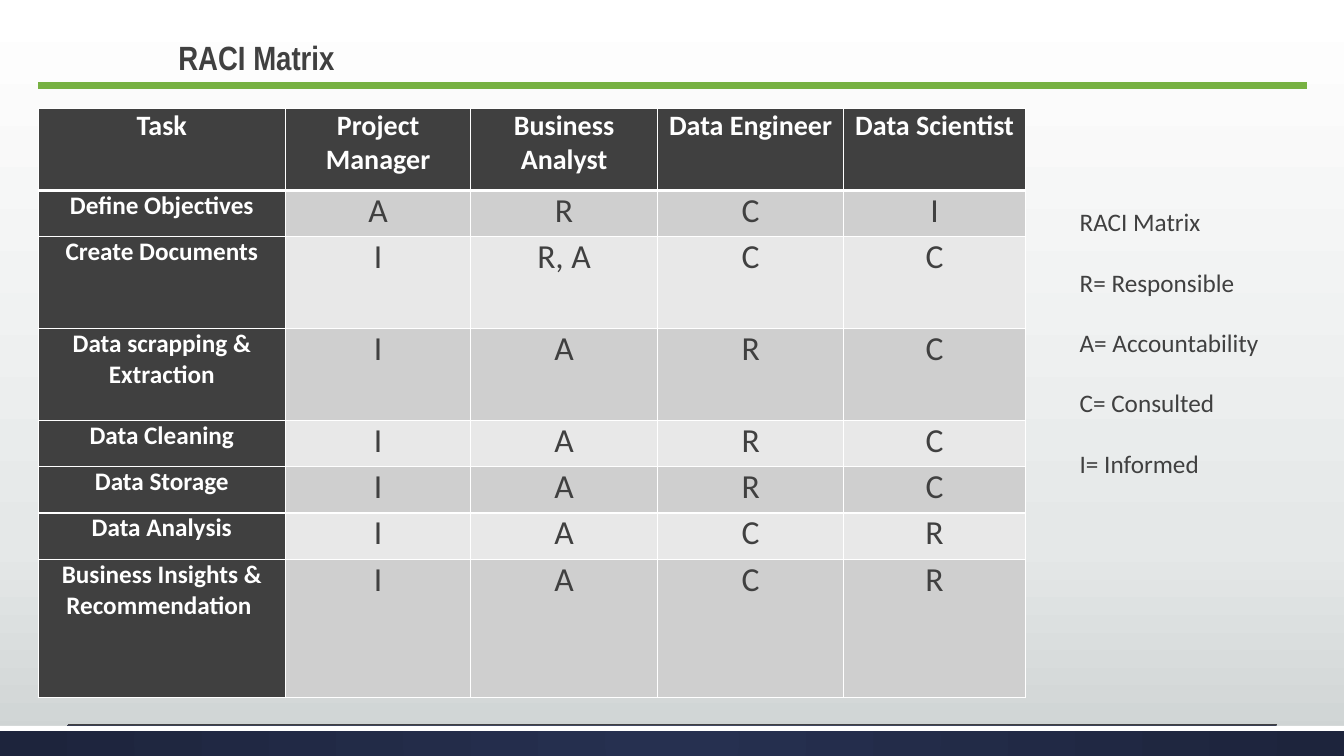
import dataclasses

import lxml.etree
import pptx
import pptx.dml.color
import pptx.enum.shapes
import pptx.enum.text
import pptx.oxml.ns
import pptx.util

Inches = pptx.util.Inches
Pt = pptx.util.Pt
qn = pptx.oxml.ns.qn
CENTER = pptx.enum.text.PP_ALIGN.CENTER


@dataclasses.dataclass(frozen=True)
class Theme:
    dark: str = "404040"
    white: str = "FFFFFF"
    green: str = "77B142"
    bands: tuple = ("CFCFCF", "E8E8E8")
    background: tuple = ((0, "FFFFFF"), (72, "E5E8E8"), (100, "CDD2D2"))
    footer: tuple = ((0, "263050"), (100, "1D243C"))
    title_font: str = "Arial Narrow"
    body_font: str = "Calibri"
    title_size: int = 24
    header_size: int = 20
    body_size: int = 18
    mark_size: int = 24


THEME = Theme()
COLUMN_WIDTHS = (2.45, 1.84, 1.85, 1.85, 1.8)
ROW_HEIGHTS = (0.81, 0.46, 0.91, 0.91, 0.46, 0.46, 0.46, 1.37)
MATRIX = (
    ("Task", "Project Manager", "Business Analyst", "Data Engineer", "Data Scientist"),
    ("Define Objectives", "A", "R", "C", "I"),
    ("Create Documents", "I", "R, A", "C", "C"),
    ("Data scrapping & Extraction", "I", "A", "R", "C"),
    ("Data Cleaning", "I", "A", "R", "C"),
    ("Data Storage", "I", "A", "R", "C"),
    ("Data Analysis", "I", "A", "C", "R"),
    ("Business Insights & Recommendation ", "I", "A", "C", "R"),
)
LEGEND = ("RACI Matrix", "R= Responsible", "A= Accountability", "C= Consulted", "I= Informed")


def rgb(color):
    return pptx.dml.color.RGBColor.from_string(color)


def write_text(paragraph, text, size=THEME.body_size, color=THEME.dark,
               font=THEME.body_font, bold=False, align=None):
    run = paragraph.add_run()
    run.text = text
    run.font.size = Pt(size)
    run.font.name = font
    run.font.bold = bold
    run.font.color.rgb = rgb(color)
    paragraph.alignment = align


def set_gradient(fill, parent, stops, radial=False):
    """Give the fill inside parent its stops, downwards or from the centre."""
    fill.gradient()
    gradient = next(parent.iter(qn("a:gradFill")))
    for child in list(gradient):
        gradient.remove(child)
    stop_list = lxml.etree.SubElement(gradient, qn("a:gsLst"))
    for position, color in stops:
        stop = lxml.etree.SubElement(stop_list, qn("a:gs"), pos=str(position * 1000))
        lxml.etree.SubElement(stop, qn("a:srgbClr"), val=color)
    if radial:
        route = lxml.etree.SubElement(gradient, qn("a:path"), path="circle")
        lxml.etree.SubElement(route, qn("a:fillToRect"),
                              {side: "50000" for side in "ltrb"})
    else:
        lxml.etree.SubElement(gradient, qn("a:lin"), ang="5400000", scaled="0")


def add_band(slide, height):
    """Add a full-width strip along the top of the footer."""
    band = slide.shapes.add_shape(pptx.enum.shapes.MSO_SHAPE.RECTANGLE,
                                  0, Inches(7.2), Inches(13.33), Inches(height))
    band.shadow.inherit = False
    band.line.fill.background()
    return band


def add_rule(slide, left, right, top, color, width):
    rule = slide.shapes.add_connector(pptx.enum.shapes.MSO_CONNECTOR.STRAIGHT,
                                      Inches(left), Inches(top), Inches(right), Inches(top))
    rule.line.color.rgb = rgb(color)
    rule.line.width = Pt(width)
    lxml.etree.SubElement(rule.element.spPr, qn("a:effectLst"))


def add_text_frame(slide, left, top, width, height):
    box = slide.shapes.add_textbox(Inches(left), Inches(top), Inches(width), Inches(height))
    box.text_frame.word_wrap = True
    return box.text_frame


def add_title(slide):
    paragraph = add_text_frame(slide, 1.17, 0.12, 3.02, 0.63).paragraphs[0]
    paragraph.line_spacing = 1.5
    paragraph.space_after = Pt(8)
    properties = paragraph._p.get_or_add_pPr()
    properties.set("marL", str(Inches(0.5)))
    properties.set("indent", "0")
    write_text(paragraph, "RACI Matrix", size=THEME.title_size,
               font=THEME.title_font, bold=True)


def add_legend(slide):
    frame = add_text_frame(slide, 10.61, 2, 2.08, 2.83)
    for index, entry in enumerate(LEGEND):
        paragraph = frame.add_paragraph() if index else frame.paragraphs[0]
        paragraph.space_after = Pt(21.5)
        write_text(paragraph, entry)


def set_borders(cell, top=1, bottom=1):
    properties = cell._tc.get_or_add_tcPr()
    for side, width in (("L", 1), ("R", 1), ("T", top), ("B", bottom)):
        line = lxml.etree.SubElement(properties, qn("a:ln" + side), w=str(Pt(width)))
        fill = lxml.etree.SubElement(line, qn("a:solidFill"))
        lxml.etree.SubElement(fill, qn("a:srgbClr"), val=THEME.white)


def fill_cell(cell, text, row, column):
    cell.margin_left = cell.margin_right = Inches(0.07)
    cell.margin_top = cell.margin_bottom = 0
    set_borders(cell, top=3 if row == 1 else 1, bottom=3 if row == 0 else 1)
    heading = row == 0 or column == 0
    cell.fill.solid()
    cell.fill.fore_color.rgb = rgb(THEME.dark if heading else THEME.bands[(row - 1) % 2])
    if row == 0:
        size = THEME.header_size
    else:
        size = THEME.body_size if heading else THEME.mark_size
    write_text(cell.text_frame.paragraphs[0], text, size=size, bold=heading,
               color=THEME.white if heading else THEME.dark, align=CENTER)


def add_matrix(slide):
    table = slide.shapes.add_table(len(MATRIX), len(COLUMN_WIDTHS), Inches(0.38), Inches(1.08),
                                   Inches(sum(COLUMN_WIDTHS)), Inches(sum(ROW_HEIGHTS))).table
    for column, width in zip(table.columns, COLUMN_WIDTHS):
        column.width = Inches(width)
    for row, height in zip(table.rows, ROW_HEIGHTS):
        row.height = Inches(height)
    for row, texts in enumerate(MATRIX):
        for column, text in enumerate(texts):
            fill_cell(table.cell(row, column), text, row, column)


def main():
    presentation = pptx.Presentation()
    presentation.slide_width = Inches(13.33)
    presentation.slide_height = Inches(7.5)
    slide = presentation.slides.add_slide(presentation.slide_layouts[6])
    set_gradient(slide.background.fill, slide.element, THEME.background)

    footer = add_band(slide, 0.3)
    set_gradient(footer.fill, footer.element, THEME.footer, radial=True)
    edge = add_band(slide, 0.05)
    edge.fill.solid()
    edge.fill.fore_color.rgb = rgb(THEME.white)
    add_rule(slide, 0.67, 12.67, 7.19, THEME.dark, 0.75)

    add_title(slide)
    add_matrix(slide)
    add_legend(slide)
    add_rule(slide, 0.38, 12.96, 0.85, THEME.green, 5)
    presentation.save("out.pptx")


if __name__ == "__main__":
    main()
